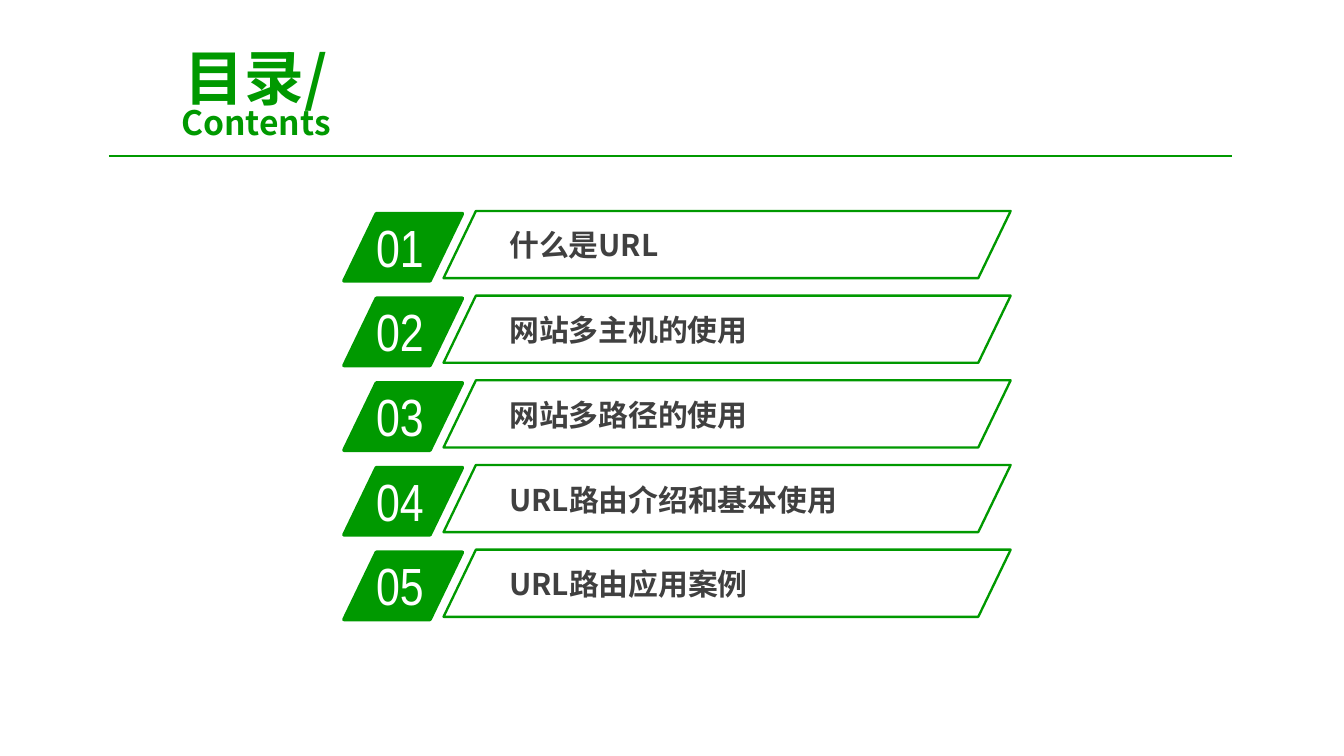
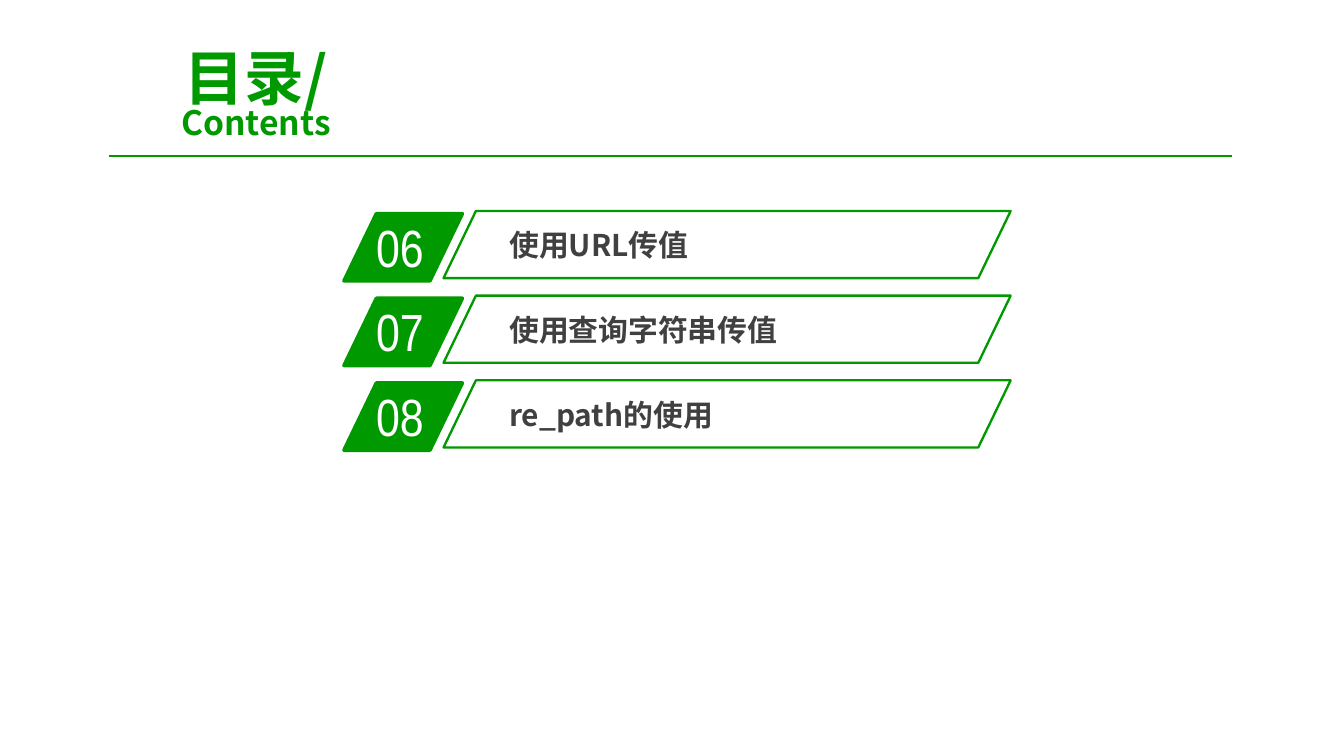
from lxml import etree
from pptx import Presentation
from pptx.dml.color import RGBColor
from pptx.enum.shapes import MSO_CONNECTOR, MSO_SHAPE
from pptx.enum.text import MSO_ANCHOR, MSO_AUTO_SIZE, PP_ALIGN
from pptx.oxml.ns import qn
from pptx.util import Inches, Pt

STRAIGHT, SLANTED = MSO_CONNECTOR.STRAIGHT, MSO_SHAPE.PARALLELOGRAM
TOP, MIDDLE, CENTER = MSO_ANCHOR.TOP, MSO_ANCHOR.MIDDLE, PP_ALIGN.CENTER
NO_FIT, GROW = MSO_AUTO_SIZE.NONE, MSO_AUTO_SIZE.SHAPE_TO_FIT_TEXT

COLORS = {"green": "009900", "white": "FFFFFF", "gray": "404040"}
CJK, NARROW = "Noto Sans CJK SC", "Arial Narrow"
COLS, ROWS = 100, 56.25      # grid of the slide
UNIT = Inches(0.1)           # one column or row
PITCH = 6.3                  # rows from one agenda entry to the next
SLANT = 0.482

FORMATS = {
    "title": {"size": Pt(32), "name": CJK, "bold": True, "color": "green"},
    "subtitle": {"size": Pt(18), "name": CJK, "bold": True, "color": "green"},
    "number": {"size": Pt(28), "name": NARROW, "bold": False, "color": "white"},
    "label": {"size": Pt(16), "name": CJK, "bold": True, "color": "gray"},
}
AGENDA = [
    ["什么是URL", "网站多主机的使用", "网站多路径的使用",
     "URL路由介绍和基本使用", "URL路由应用案例"],
    ["使用URL传值", "使用查询字符串传值", "re_path的使用"],
]


def grid(*values):
    return [round(v * UNIT) for v in values]


def rgb(name):
    return RGBColor.from_string(COLORS[name])


def add_run(p, text, style):
    r = p.add_run()
    r.text = text
    for key, value in FORMATS[style].items():
        if key == "color":
            r.font.color.rgb = rgb(value)
        else:
            setattr(r.font, key, value)
    ea = etree.SubElement(r.font._element, qn("a:ea"))
    ea.set("typeface", FORMATS[style]["name"])


def add_text(shapes, box, text, style, insets=(1, 0.5)):
    sp = shapes.add_textbox(*grid(*box))
    tf = sp.text_frame
    tf.word_wrap, tf.auto_size, tf.vertical_anchor = True, GROW, TOP
    tf.margin_left, tf.margin_top = grid(*insets)
    tf.margin_right, tf.margin_bottom = grid(*insets)
    add_run(tf.paragraphs[0], text, style)


def add_slanted(shapes, box, width, filled=False):
    sp = shapes.add_shape(SLANTED, *grid(*box))
    sp.adjustments[0] = SLANT
    sp.shadow.inherit = False
    if filled:
        sp.fill.solid()
        sp.fill.fore_color.rgb = rgb("green")
    else:
        sp.fill.background()
    sp.line.color.rgb = rgb("green")
    sp.line.width = Pt(width)


def add_header(slide):
    sp = slide.shapes.title
    sp.left, sp.top, sp.width, sp.height = grid(6.7, 4.7, 24.7, 5.4)
    tf = sp.text_frame
    tf.auto_size, tf.vertical_anchor = NO_FIT, MIDDLE
    p = tf.paragraphs[0]
    p.alignment, p.line_spacing, p.space_before = CENTER, 0.75, Pt(6.4)
    add_run(p, "目录/", "title")
    p.add_line_break()
    add_run(p, "Contents", "subtitle")

    rule = slide.shapes.add_connector(STRAIGHT, *grid(8.1, 11.6, 91.7, 11.6))
    rule.line.color.rgb = rgb("green")
    rule.line.width = Pt(0.75)
    etree.SubElement(rule._element.spPr, qn("a:effectLst"))


def add_entry(slide, row, number, label):
    y = row * PITCH
    badge = slide.shapes.add_group_shape().shapes
    add_slanted(badge, (25.6, 15.9 + y, 8.8, 5), 2, filled=True)
    add_text(badge, (27, 15.5 + y, 8.4, 5.7), f"{number:02d}", "number")
    frame = slide.shapes.add_group_shape().shapes
    add_text(frame, (37.2, 16.5 + y, 33.7, 3.5), label, "label", (0.7, 0.4))
    add_slanted(frame, (33, 15.7 + y, 42.2, 5), 1.25)


def main():
    prs = Presentation()
    prs.slide_width, prs.slide_height = grid(COLS, ROWS)
    number = 0
    for labels in AGENDA:
        slide = prs.slides.add_slide(prs.slide_layouts[5])
        add_header(slide)
        for row, label in enumerate(labels):
            number += 1
            add_entry(slide, row, number, label)
    prs.save("out.pptx")


if __name__ == "__main__":
    main()
